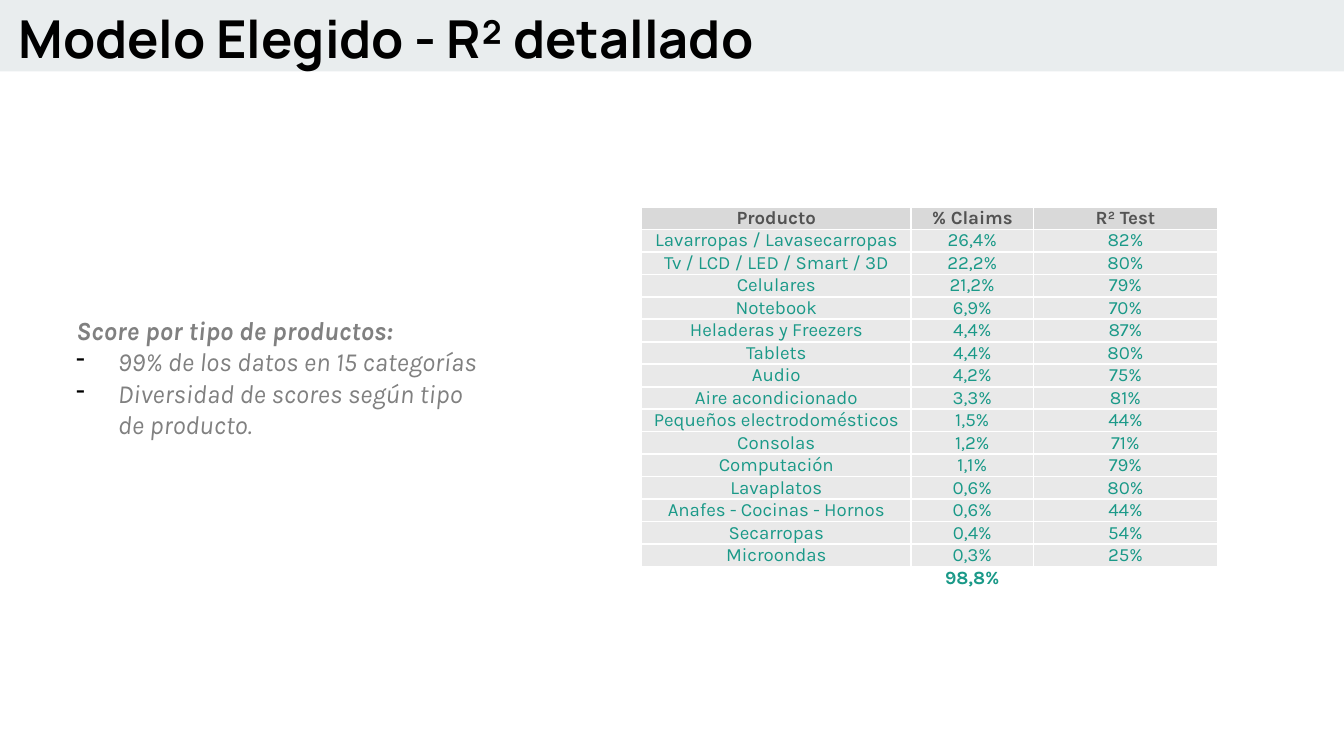
"""Builds the slide with the detailed R² score for each product category."""
from lxml import etree
from pptx import Presentation
from pptx import util as u
from pptx.dml.color import RGBColor
from pptx.enum import shapes, text
from pptx.oxml.ns import qn

COLORS = {
    "band": "E9EDEE", "title": "000000", "note": "808080", "dash": "000000",
    "header": "535353", "header_fill": "D9D9D9",
    "score": "1A9988", "score_fill": "E9E9E9", "border": "FFFFFF",
}
TITLE = {"name": "Manrope", "size": u.Pt(28), "bold": True}
NOTE = {"name": "Karla", "size": u.Pt(14), "bold": False, "italic": True}
SCORE = {"name": "Karla", "size": u.Pt(10), "bold": False}
COLUMN_WIDTHS = (5.1, 2.31, 3.48)
ROW_HEIGHT = 0.38
HEADINGS = ("Producto", "% Claims", "R² Test")
SCORES = [
    ("Lavarropas / Lavasecarropas", "26,4%", "82%"),
    ("Tv / LCD / LED / Smart / 3D", "22,2%", "80%"),
    ("Celulares", "21,2%", "79%"),
    ("Notebook", "6,9%", "70%"),
    ("Heladeras y Freezers", "4,4%", "87%"),
    ("Tablets", "4,4%", "80%"),
    ("Audio", "4,2%", "75%"),
    ("Aire acondicionado", "3,3%", "81%"),
    ("Pequeños electrodomésticos", "1,5%", "44%"),
    ("Consolas", "1,2%", "71%"),
    ("Computación", "1,1%", "79%"),
    ("Lavaplatos", "0,6%", "80%"),
    ("Anafes - Cocinas - Hornos", "0,6%", "44%"),
    ("Secarropas", "0,4%", "54%"),
    ("Microondas", "0,3%", "25%"),
]
TOTAL = ("", "98,8%", "")


def apply(target, values):
    for key, value in values.items():
        setattr(target, key, value)


def rgb(color):
    return RGBColor.from_string(COLORS[color])


class ScoreSlide:
    """Holds the current slide and adds each kind of element in its style."""

    def __init__(self, deck):
        self.slide = deck.slides.add_slide(deck.slide_layouts[6])

    def add_words(self, paragraph, words, font, color):
        run = paragraph.add_run()
        run.text = words
        apply(run.font, font)
        run.font.color.rgb = rgb(color)

    def band(self, left, top, width, height):
        band = self.slide.shapes.add_shape(
            shapes.MSO_SHAPE.RECTANGLE, *map(u.Cm, (left, top, width, height)))
        band.shadow.inherit = False
        band.fill.solid()
        band.fill.fore_color.rgb = rgb("band")
        band.line.fill.background()

    def text_frame(self, left, top, width, height, **settings):
        frame = self.slide.shapes.add_textbox(
            *map(u.Cm, (left, top, width, height))).text_frame
        apply(frame, {"word_wrap": True, **settings})
        return frame

    def title(self, words, *place):
        inset = u.Cm(0.25)
        frame = self.text_frame(*place, margin_left=inset, margin_right=inset,
                                margin_top=inset, margin_bottom=inset)
        self.add_words(frame.paragraphs[0], words, TITLE, "title")

    def note(self, heading, points, *place):
        frame = self.text_frame(*place, auto_size=text.MSO_AUTO_SIZE.SHAPE_TO_FIT_TEXT)
        self.add_words(frame.paragraphs[0], heading, {**NOTE, "bold": True}, "note")
        for point in points:
            paragraph = frame.add_paragraph()
            self.add_words(paragraph, point, NOTE, "note")
            self.dash(paragraph)

    def dash(self, paragraph):
        properties = paragraph._p.get_or_add_pPr()
        indent = u.Cm(0.79)
        properties.set("marL", str(indent))
        properties.set("indent", str(-indent))
        color = etree.SubElement(properties, qn("a:buClr"))
        etree.SubElement(color, qn("a:srgbClr"), val=COLORS["dash"])
        etree.SubElement(properties, qn("a:buChar"), char="-")

    def cell(self, cell, words, font, color, fill):
        apply(cell, {"margin_left": 0, "margin_right": 0, "margin_top": 0,
                     "margin_bottom": 0, "vertical_anchor": text.MSO_ANCHOR.MIDDLE})
        self.borders(cell)
        if fill:
            cell.fill.solid()
            cell.fill.fore_color.rgb = rgb(fill)
        else:
            cell.fill.background()
        paragraph = cell.text_frame.paragraphs[0]
        paragraph.alignment = text.PP_ALIGN.CENTER
        if words:
            self.add_words(paragraph, words, font, color)
        else:
            etree.SubElement(paragraph._p, qn("a:endParaRPr"),
                             sz=str(int(font["size"].pt * 100)))

    def borders(self, cell):
        properties = cell._tc.get_or_add_tcPr()
        for side in ("lnL", "lnR", "lnT", "lnB"):
            line = etree.SubElement(properties, qn(f"a:{side}"), w=str(u.Pt(1)))
            fill = etree.SubElement(line, qn("a:solidFill"))
            etree.SubElement(fill, qn("a:srgbClr"), val=COLORS["border"])

    def table(self, left, top):
        bold = {**SCORE, "bold": True}
        rows = [(HEADINGS, bold, "header", "header_fill")]
        rows += [(score, SCORE, "score", "score_fill") for score in SCORES]
        rows.append((TOTAL, bold, "score", None))
        table = self.slide.shapes.add_table(
            len(rows), len(COLUMN_WIDTHS), u.Cm(left), u.Cm(top),
            u.Cm(sum(COLUMN_WIDTHS)), u.Cm(ROW_HEIGHT * len(rows))).table
        apply(table, {"first_row": False, "horz_banding": False})
        for column, width in zip(table.columns, COLUMN_WIDTHS):
            column.width = u.Cm(width)
        for row, (entries, *style) in zip(table.rows, rows):
            row.height = u.Cm(ROW_HEIGHT)
            for cell, words in zip(row.cells, entries):
                self.cell(cell, words, *style)


def main():
    deck = Presentation()
    apply(deck, {"slide_width": u.Cm(25.4), "slide_height": u.Cm(14.29)})
    slide = ScoreSlide(deck)
    slide.band(0, 0, 25.4, 1.35)
    slide.title("Modelo Elegido - R² detallado", 0.1, -0.13, 21.36, 1.5)
    slide.table(12.12, 3.91)
    slide.note("Score por tipo de productos:",
               ("99% de los datos en 15 categorías",
                "Diversidad de scores según tipo de producto."),
               1.19, 5.82, 8.2, 2.64)
    deck.save("out.pptx")


if __name__ == "__main__":
    main()
